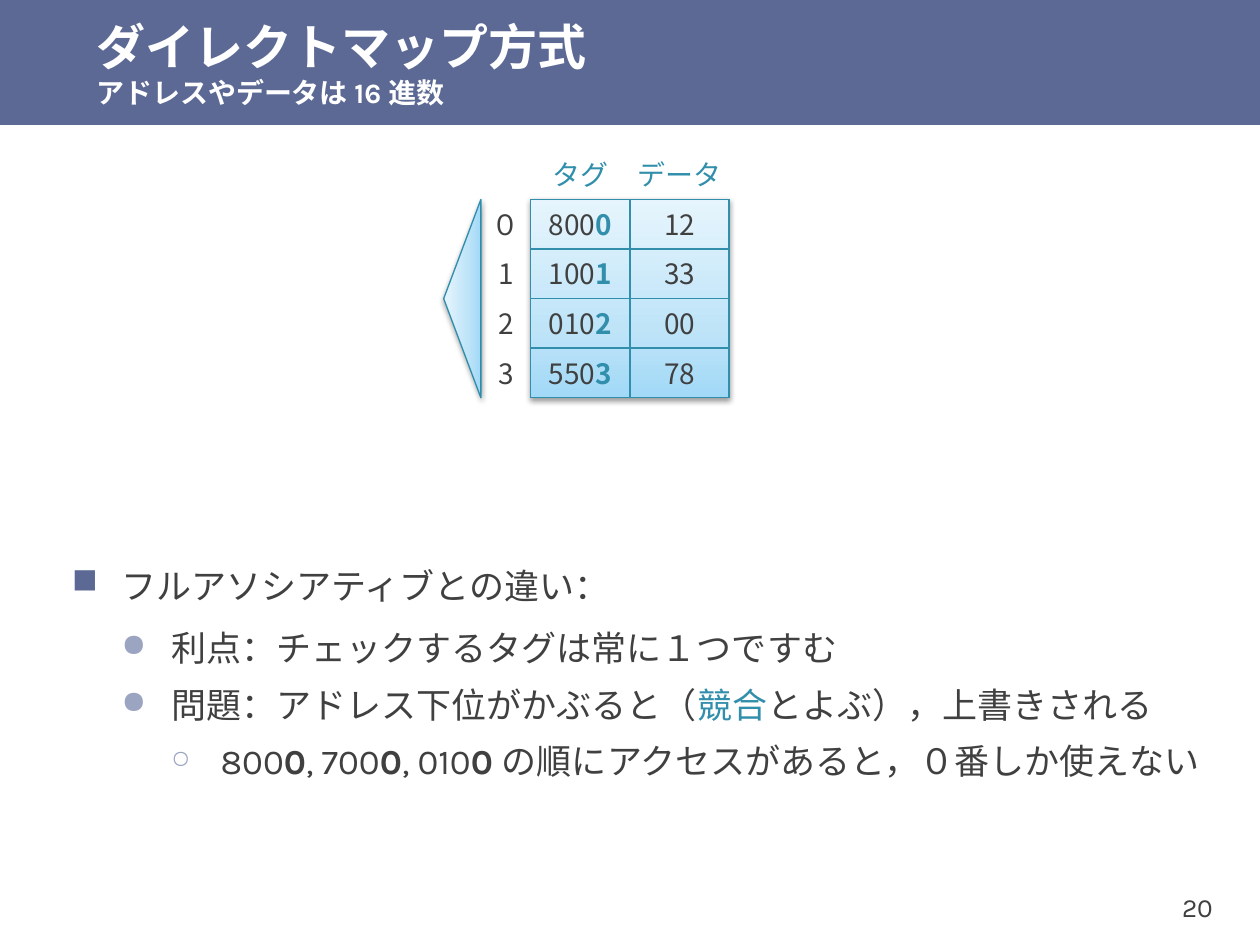
from dataclasses import dataclass

from lxml import etree
from pptx import Presentation
from pptx import util as u
from pptx.dml.color import RGBColor
from pptx.enum import shapes, text
from pptx.oxml import ns
from pptx.shapes.autoshape import Shape
from pptx.slide import Slide

LATIN, JAPANESE = "Karla", "Noto Sans CJK JP"
NAVY, PALE_NAVY, TEAL, EDGE = "5C6994", "9BA4C1", "328FAC", "2E8DAB"
INK, WHITE = "404040", "FFFFFF"
GRADIENT = ((0, "A2D9F7"), (35, "BFE4F8"), (100, "E6F5FD"))

CELL_W, ROW_H = 2, 1
CACHE_LEFT, CACHE_TOP = 10.7, 4.02
INDENT = 1


@dataclass
class CacheLine:
    index: str
    tag: str
    low_digit: str
    value: str


@dataclass
class Span:
    content: str
    color: str = INK
    bold: bool = False


@dataclass
class Bullet:
    level: int
    spans: list[Span]


@dataclass
class BulletStyle:
    mark: str
    color: str
    percent: int
    before: int
    after: int


CACHE_LINES = [
    CacheLine("０", "800", "0", "12"),
    CacheLine("1", "100", "1", "33"),
    CacheLine("2", "010", "2", "00"),
    CacheLine("3", "550", "3", "78"),
]
BULLETS = [
    Bullet(0, [Span("フルアソシアティブとの違い：")]),
    Bullet(1, [Span("利点：チェックするタグは常に１つですむ")]),
    Bullet(1, [Span("問題：アドレス下位がかぶると（"), Span("競合", TEAL),
               Span("とよぶ），上書きされる")]),
    Bullet(2, [Span("800"), Span("0", bold=True), Span(", 700"), Span("0", bold=True),
               Span(", 010"), Span("0 ", bold=True),
               Span("の順にアクセスがあると，０番しか使えない")]),
]
BULLET_STYLES = [
    BulletStyle("■", NAVY, 100, 0, 6),
    BulletStyle("●", PALE_NAVY, 90, 3, 3),
    BulletStyle("○", PALE_NAVY, 70, 3, 3),
]


def rgb(color: str) -> RGBColor:
    return RGBColor.from_string(color)


def add_xml(parent, tag: str, **attributes):
    return etree.SubElement(parent, ns.qn(tag), attributes)


def write(paragraph, content: str, *, size=16, color=INK, bold=False, font=JAPANESE) -> None:
    run = paragraph.add_run()
    run.text = content
    run.font.size = u.Pt(size)
    run.font.bold = bold
    run.font.name = font
    run.font.color.rgb = rgb(color)
    add_xml(run.font._element, "a:ea", typeface=JAPANESE)


def set_frame(shape, wrap: bool, insets=(0.25, 0.13, 0.25, 0.13)):
    frame = shape.text_frame
    frame.auto_size = text.MSO_AUTO_SIZE.NONE
    frame.word_wrap = wrap
    frame.vertical_anchor = text.MSO_ANCHOR.MIDDLE
    frame.margin_left, frame.margin_top, frame.margin_right, frame.margin_bottom = map(u.Cm, insets)
    return frame


def add_box(slide: Slide, left: float, top: float, width: float, height: float, wrap=False):
    box = slide.shapes.add_textbox(u.Cm(left), u.Cm(top), u.Cm(width), u.Cm(height))
    return set_frame(box, wrap)


def add_label(slide: Slide, left: float, top: float, width: float, content: str, color=INK) -> None:
    paragraph = add_box(slide, left, top, width, ROW_H).paragraphs[0]
    paragraph.alignment = text.PP_ALIGN.CENTER
    write(paragraph, content, color=color)


def add_outline(slide: Slide, kind, left: float, top: float, width: float, height: float,
                color: str) -> Shape:
    shape = slide.shapes.add_shape(kind, u.Cm(left), u.Cm(top), u.Cm(width), u.Cm(height))
    shape.shadow.inherit = False
    shape.fill.background()
    shape.line.color.rgb = rgb(color)
    shape.line.width = u.Pt(0.75)
    return shape


def add_cell(slide: Slide, left: float, top: float, spans: list[Span]) -> None:
    cell = add_outline(slide, shapes.MSO_SHAPE.RECTANGLE, left, top, CELL_W, ROW_H, TEAL)
    paragraph = set_frame(cell, False).paragraphs[0]
    paragraph.alignment = text.PP_ALIGN.CENTER
    for span in spans:
        write(paragraph, span.content, color=span.color, bold=span.bold)


def add_glossy(slide: Slide, kind, left: float, top: float, width: float, height: float) -> Shape:
    shape = add_outline(slide, kind, left, top, width, height, EDGE)
    properties = shape._element.spPr
    gradient = etree.Element(ns.qn("a:gradFill"), rotWithShape="1")
    stops = add_xml(gradient, "a:gsLst")
    for percent, color in GRADIENT:
        add_xml(add_xml(stops, "a:gs", pos=str(percent * 1000)), "a:srgbClr", val=color)
    add_xml(gradient, "a:lin", ang="16200000", scaled="1")
    properties.replace(properties.find(ns.qn("a:noFill")), gradient)
    shadow = add_xml(properties.find(ns.qn("a:effectLst")), "a:outerShdw", blurRad="40000",
                     dist="20000", dir="5400000", rotWithShape="0")
    add_xml(add_xml(shadow, "a:srgbClr", val="000000"), "a:alpha", val="38000")
    return shape


def add_header(slide: Slide) -> None:
    band = slide.shapes.add_shape(shapes.MSO_SHAPE.RECTANGLE, 0, 0, u.Cm(25.4), u.Cm(2.52))
    band.shadow.inherit = False
    band.fill.solid()
    band.fill.fore_color.rgb = rgb(NAVY)
    band.line.fill.background()
    slide.shapes._spTree.insert(2, band._element)

    title = slide.shapes.title
    title.left, title.top, title.width, title.height = map(u.Cm, (1.7, 0, 23.7, 2.52))
    heading = set_frame(title, True, (0.25, 0, 0.25, 0)).paragraphs[0]
    heading.alignment = text.PP_ALIGN.LEFT
    write(heading, "ダイレクトマップ方式", size=28, color=WHITE, bold=True, font=LATIN)
    heading.add_line_break()
    write(heading, "アドレスやデータは 16 進数", color=WHITE, bold=True, font=LATIN)


def add_cache(slide: Slide) -> None:
    value_left = CACHE_LEFT + CELL_W
    height = len(CACHE_LINES) * ROW_H
    for left, caption in ((CACHE_LEFT, "タグ"), (value_left, "データ")):
        add_label(slide, left, CACHE_TOP - ROW_H, CELL_W, caption, TEAL)
    add_glossy(slide, shapes.MSO_SHAPE.RECTANGLE, CACHE_LEFT, CACHE_TOP, 2 * CELL_W, height)
    for row, line in enumerate(CACHE_LINES):
        top = CACHE_TOP + row * ROW_H
        add_label(slide, CACHE_LEFT - 1, top, 1, line.index)
        add_cell(slide, CACHE_LEFT, top, [Span(line.tag), Span(line.low_digit, TEAL, True)])
        add_cell(slide, value_left, top, [Span(line.value)])
    depth = 0.75
    decoder = add_glossy(slide, shapes.MSO_SHAPE.ISOSCELES_TRIANGLE, 7.32,
                         CACHE_TOP + (height - depth) / 2, height, depth)
    decoder.rotation = 270


def add_bullets(slide: Slide) -> None:
    frame = add_box(slide, 1.2, 9.78, 23.5, 7.5, wrap=True)
    for number, bullet in enumerate(BULLETS):
        paragraph = frame.add_paragraph() if number else frame.paragraphs[0]
        style = BULLET_STYLES[bullet.level]
        paragraph.level = bullet.level
        properties = paragraph._p.get_or_add_pPr()
        properties.set("marL", str(u.Cm(INDENT * (bullet.level + 1))))
        properties.set("indent", str(-u.Cm(INDENT)))
        add_xml(add_xml(properties, "a:buClr"), "a:srgbClr", val=style.color)
        add_xml(properties, "a:buSzPct", val=str(style.percent * 1000))
        add_xml(properties, "a:buChar", char=style.mark)
        paragraph.line_spacing = 1.1
        paragraph.space_before = u.Pt(style.before)
        paragraph.space_after = u.Pt(style.after)
        for span in bullet.spans:
            write(paragraph, span.content, size=20, color=span.color, bold=span.bold, font=LATIN)


def main() -> None:
    deck = Presentation()
    deck.slide_width, deck.slide_height = u.Cm(25.4), u.Cm(19.05)
    slide = deck.slides.add_slide(deck.slide_layouts.get_by_name("Title Only"))
    add_header(slide)
    add_bullets(slide)
    add_cache(slide)
    page = add_box(slide, 22.7, 17.53, 2, 1.52).paragraphs[0]
    page.alignment = text.PP_ALIGN.RIGHT
    write(page, "20", size=15, font=LATIN)
    deck.save("out.pptx")


if __name__ == "__main__":
    main()
